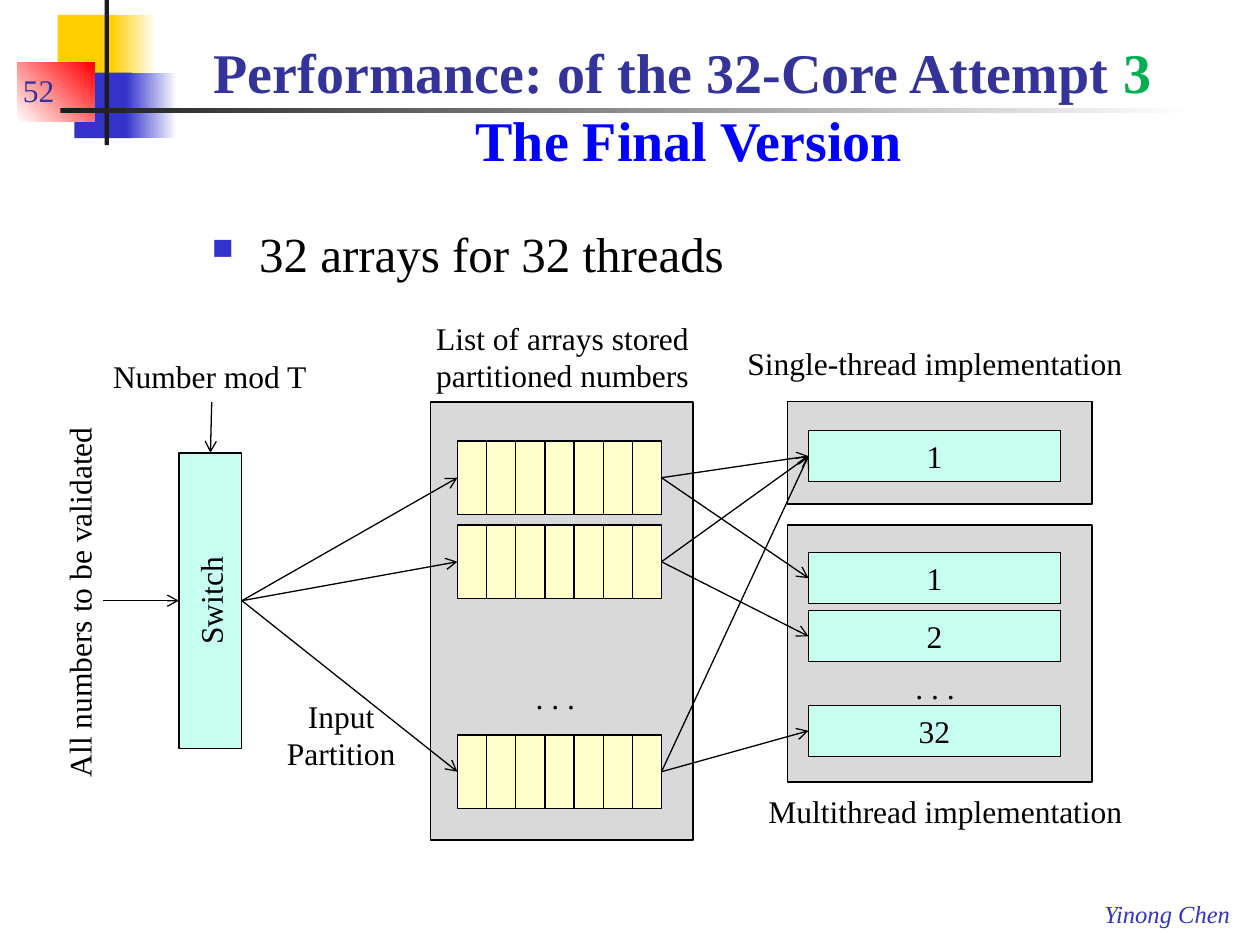
from dataclasses import dataclass

from lxml.etree import SubElement
from pptx import Presentation
from pptx.dml.color import RGBColor as RGB
from pptx.enum.shapes import MSO_CONNECTOR as Connector, MSO_SHAPE as Shape
from pptx.enum.text import MSO_ANCHOR as Anchor, PP_ALIGN as Align
from pptx.oxml.ns import qn
from pptx.util import Pt


@dataclass(frozen=True)
class Theme:
    font: str = "Times New Roman"
    title_size: int = 32
    body_size: int = 28
    label_size: int = 18
    footer_size: int = 14
    line_width: float = 0.75
    black: str = "000000"
    white: str = "FFFFFF"
    dark: str = "1C1C1C"
    gold: str = "FFCF01"
    blue: str = "3333CC"
    red: str = "FF0000"
    navy: str = "333399"
    green: str = "00B050"
    bright_blue: str = "0000FF"
    panel: str = "D9D9D9"
    mint: str = "C7FFF0"
    cream: str = "FFFFCC"


def write(para, text, *, font, size, color, bold=False, italic=False):
    span = para.add_run()
    span.text = text
    span.font.name = font
    span.font.size = Pt(size)
    span.font.color.rgb = RGB.from_string(color)
    span.font.bold = bold
    span.font.italic = italic
    return span


class Painter:
    def __init__(self, page, theme):
        self.page = page
        self.theme = theme

    def span(self, para, text, size=None, color=None, **style):
        theme = self.theme
        write(para, text, font=theme.font, size=size or theme.label_size,
              color=color or theme.black, **style)

    def rect(self, x, y, width, height, fill, text="", outline=True, rotation=0):
        box = self.page.shapes.add_shape(
            Shape.RECTANGLE, Pt(x), Pt(y), Pt(width), Pt(height))
        box.shadow.inherit = False
        box.rotation = rotation
        box.fill.solid()
        box.fill.fore_color.rgb = RGB.from_string(fill)
        if outline:
            box.line.color.rgb = RGB.from_string(self.theme.black)
            box.line.width = Pt(self.theme.line_width)
        else:
            box.line.fill.background()
        if text:
            box.text_frame.vertical_anchor = Anchor.MIDDLE
            para = box.text_frame.paragraphs[0]
            para.alignment = Align.CENTER
            self.span(para, text)
        return box

    def fade(self, x, y, width, height, start, end, angle=0):
        box = self.rect(x, y, width, height, start, outline=False)
        box.fill.gradient()
        box.fill.gradient_angle = angle
        for stop, color in zip(box.fill.gradient_stops, (start, end)):
            stop.color.rgb = RGB.from_string(color)

    def text(self, x, y, width, height, lines=(), wrap=False, align=Align.LEFT,
             anchor=Anchor.TOP, rotation=0, **style):
        box = self.page.shapes.add_textbox(Pt(x), Pt(y), Pt(width), Pt(height))
        box.rotation = rotation
        frame = box.text_frame
        frame.word_wrap = wrap
        frame.vertical_anchor = anchor
        para = frame.paragraphs[0]
        para.alignment = align
        for index, line in enumerate(lines):
            if index:
                para = frame.add_paragraph()
                para.alignment = align
            self.span(para, line, **style)
        return frame.paragraphs[0]

    def bullet(self, para, mark, color, percent, indent):
        props = para._p.get_or_add_pPr()
        props.set("marL", str(Pt(indent)))
        props.set("indent", str(-Pt(indent)))
        tint = SubElement(props, qn("a:buClr"))
        SubElement(tint, qn("a:srgbClr"), val=color)
        SubElement(props, qn("a:buSzPct"), val=str(percent * 1000))
        SubElement(props, qn("a:buChar"), char=mark)

    def arrow(self, start, end):
        line = self.page.shapes.add_connector(
            Connector.STRAIGHT, *(Pt(value) for value in (*start, *end)))
        line.line.color.rgb = RGB.from_string(self.theme.black)
        line.line.width = Pt(self.theme.line_width)
        SubElement(line.line._get_or_add_ln(), qn("a:tailEnd"), type="arrow")
        SubElement(line._element.spPr, qn("a:effectLst"))


def draw_frame(painter):
    theme = painter.theme
    painter.rect(33, 8.5, 34.5, 37.5, theme.gold, outline=False)
    painter.fade(63.5, 8.5, 26, 37.5, theme.gold, theme.white)
    painter.rect(42.5, 41.5, 33, 37.5, theme.blue, outline=False)
    painter.fade(72, 41.5, 29, 37.5, theme.blue, theme.white)
    painter.fade(10, 36, 44, 33.5, theme.white, theme.red, angle=45)
    painter.rect(59.75, 0, 2.5, 83, theme.dark, outline=False)
    painter.fade(34.5, 62, 648, 2.4, theme.dark, theme.white)
    painter.text(624, 510, 86.5, 24.5, ["Yinong Chen"],
                 size=theme.footer_size, color=theme.blue, italic=True)
    painter.text(6, 30, 61, 36, ["52"], wrap=True, anchor=Anchor.BOTTOM,
                 color=theme.navy)


def draw_heading(painter):
    theme = painter.theme
    title = painter.text(90, 12, 600, 90, wrap=True, align=Align.CENTER,
                         anchor=Anchor.BOTTOM)
    heading = dict(size=theme.title_size, bold=True)
    painter.span(title, "Performance: of the 32-Core Attempt ",
                 color=theme.navy, **heading)
    painter.span(title, "3", color=theme.green, **heading)
    title.add_line_break()
    painter.span(title, " The Final Version", color=theme.bright_blue, **heading)
    body = painter.text(114, 124, 591, 50, ["32 arrays for 32 threads"],
                        wrap=True, size=theme.body_size)
    body.space_before = Pt(5.6)
    painter.bullet(body, "■", theme.blue, 60, 27)


def draw_diagram(painter):
    theme = painter.theme
    array_left, cell_width, cell_height, cell_count = 261.4, 16.66, 42, 7
    array_right = array_left + cell_width * cell_count
    array_tops = (252, 300, 420)
    core_left, core_width, core_height = 462, 144, 29.25
    single_top = 246
    thread_tops = {"1": 315.75, "2": 349, "32": 403}
    switch_x, switch_y, switch_length, switch_depth = 120.25, 343.25, 169, 36
    switch_left = switch_x - switch_depth / 2
    switch_right = switch_x + switch_depth / 2

    painter.rect(246, 229.75, 150, 250.25, theme.panel)
    painter.rect(450, 229.5, 174, 58.5, theme.panel)
    painter.rect(450, 300, 174, 147, theme.panel)
    for top in array_tops:
        for column in range(cell_count):
            painter.rect(array_left + column * cell_width, top,
                         cell_width, cell_height, theme.cream)
    painter.rect(core_left, single_top, core_width, core_height, theme.mint, "1")
    for name, top in thread_tops.items():
        painter.rect(core_left, top, core_width, core_height, theme.mint, name)
    painter.rect(switch_x - switch_length / 2, switch_y - switch_depth / 2,
                 switch_length, switch_depth, theme.mint, "Switch", rotation=270)

    single_entry = (core_left, single_top + core_height / 2)
    for array_top, thread_top in zip(array_tops, thread_tops.values()):
        middle = array_top + cell_height / 2
        painter.arrow((switch_right, switch_y), (array_left, middle))
        painter.arrow((array_right, middle), single_entry)
        painter.arrow((array_right, middle),
                      (core_left, thread_top + core_height / 2))
    painter.arrow((59, switch_y), (switch_left, switch_y))
    painter.arrow((121, 229.75), (120.25, switch_y - switch_length / 2))

    painter.text(-63, 328.5, 216.5, 29, ["All numbers to be validated"], rotation=270)
    painter.text(57.5, 200.5, 126, 29, ["Number mod T"])
    painter.text(241.25, 178.5, 160.5, 51,
                 ["List of arrays stored", "partitioned numbers"], align=Align.CENTER)
    painter.text(420, 193, 231, 29, ["Single-thread implementation"])
    painter.text(432, 449, 219, 29, ["Multithread implementation"])
    painter.text(156, 394.5, 78, 51, ["Input Partition"], wrap=True,
                 align=Align.CENTER)
    painter.text(299, 384, 37.5, 29, [". . ."])
    painter.text(516, 378, 37.5, 29, [". . ."])


def main():
    deck = Presentation()
    deck.slide_width, deck.slide_height = Pt(720), Pt(540)
    page = deck.slides.add_slide(deck.slide_layouts[6])
    painter = Painter(page, Theme())
    draw_frame(painter)
    draw_heading(painter)
    draw_diagram(painter)
    deck.save("out.pptx")


if __name__ == "__main__":
    main()
